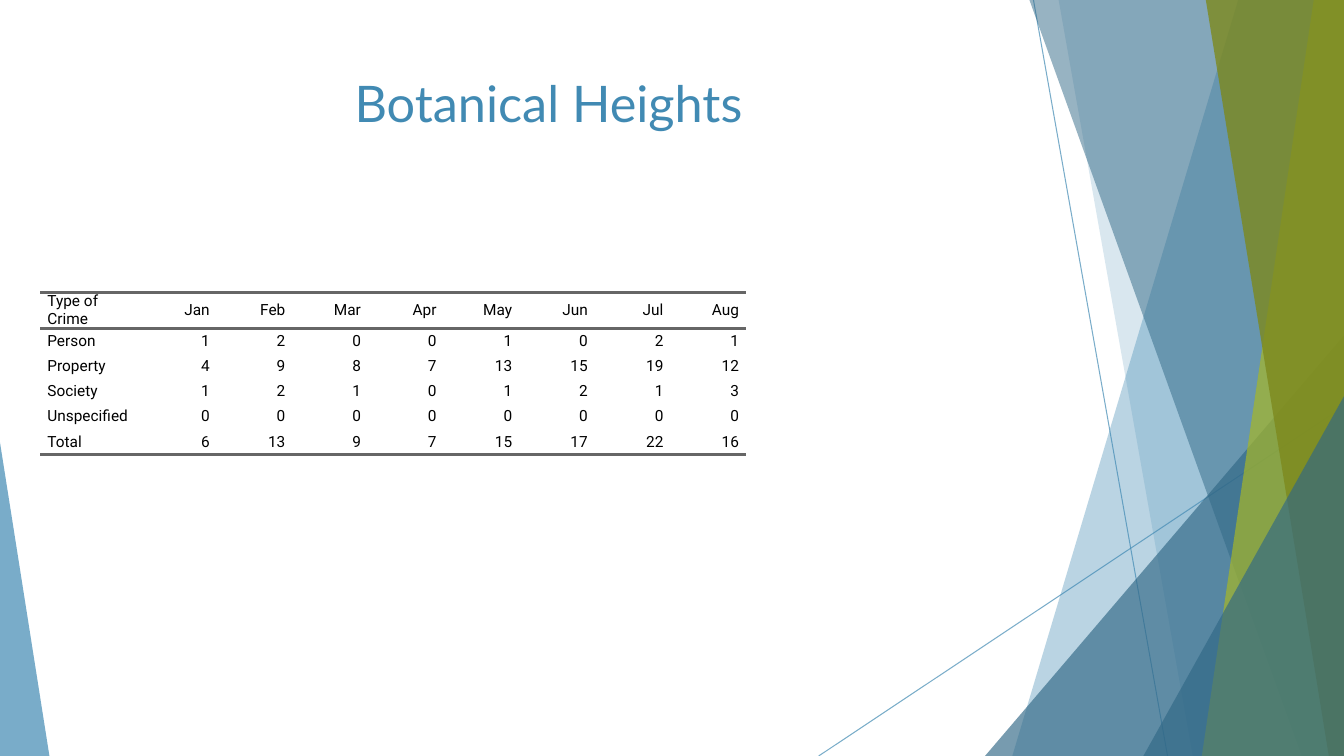
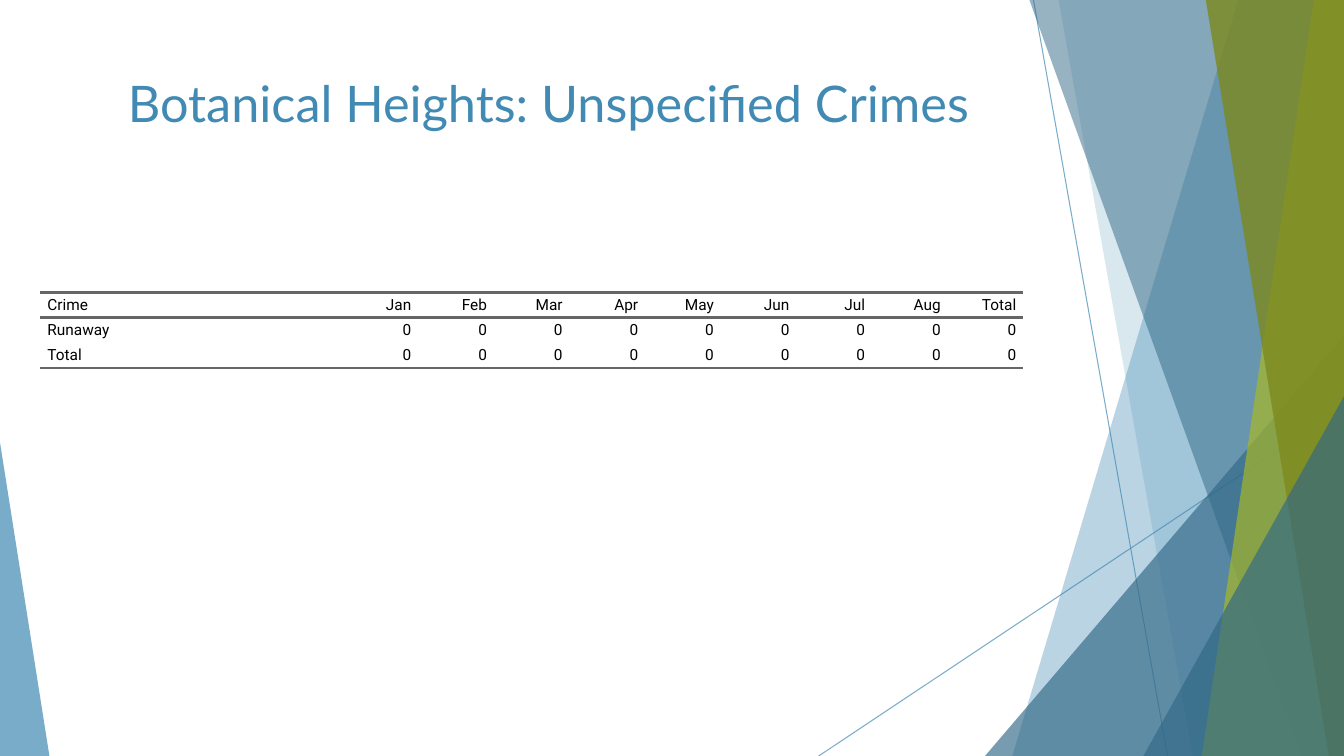
from dataclasses import dataclass

from lxml import etree
from pptx import Presentation
from pptx.dml.color import RGBColor
from pptx.enum import shapes, text
from pptx.oxml import ns
from pptx.util import Inches, Pt

WIDE, HIGH = 13.33, 7.5
BLUE, NAVY, LIME, OLIVE = "418AB3", "316886", "A6B727", "7D891D"
BLACK, GREY = "000000", "666666"
MONTHS = ["Jan", "Feb", "Mar", "Apr", "May", "Jun", "Jul", "Aug"]
NO_STYLE = "{2D5ABB26-0587-4C30-8999-92F81FD0307C}"


@dataclass
class Ray:
    start: tuple[float, float]
    end: tuple[float, float]


@dataclass
class Band:
    """A strip from its slanted left edge to the right of the slide."""
    top: float
    foot: float
    tint: str
    alpha: int


@dataclass
class Wedge:
    """A right triangle standing on the foot of the slide."""
    left: float
    top: float
    width: float
    apex: float
    tint: str
    alpha: int


@dataclass
class Page:
    title: str
    first: float
    rows: list[list]


RAYS = [Ray((10.25, 0), (11.58, HIGH)), Ray((WIDE, 4.03), (8.12, HIGH))]
DECOR = [
    Band(12.28, 10.04, BLUE, 36),
    Band(10.5, 11.83, BLUE, 20),
    Wedge(9.77, 3.33, 3.56, 1, NAVY, 66),
    Band(10.21, 12.91, NAVY, 50),
    Band(13.03, 11.92, LIME, 70),
    Band(11.96, 13.18, OLIVE, 80),
    Wedge(11.34, 3.93, 1.99, 1, NAVY, 66),
    Wedge(0, 4.39, 0.49, 0, BLUE, 70),
]
PAGES = [
    Page("Botanical Heights", 1, [
        ["Type of Crime", *MONTHS],
        ["Person", 1, 2, 0, 0, 1, 0, 2, 1],
        ["Property", 4, 9, 8, 7, 13, 15, 19, 12],
        ["Society", 1, 2, 1, 0, 1, 2, 1, 3],
        ["Unspecified", *[0] * 8],
        ["Total", 6, 13, 9, 7, 15, 17, 22, 16],
    ]),
    Page("Botanical Heights: Unspecified Crimes", 3, [
        ["Crime", *MONTHS, "Total"],
        ["Runaway", *[0] * 9],
        ["Total", *[0] * 9],
    ]),
]


def tone(code: str) -> RGBColor:
    return RGBColor.from_string(code)


def fade(shape, alpha: int) -> None:
    """Set the opacity, in percent, of the shape's own colour."""
    for node in shape.element.xpath(".//a:srgbClr"):
        etree.SubElement(node, ns.qn("a:alpha")).set("val", str(alpha * 1000))


def paint(shape, tint: str, alpha: int) -> None:
    shape.shadow.inherit = False
    shape.fill.solid()
    shape.fill.fore_color.rgb = tone(tint)
    shape.line.fill.background()
    fade(shape, alpha)


def add_ray(slide, ray: Ray):
    line = slide.shapes.add_connector(
        shapes.MSO_CONNECTOR.STRAIGHT,
        *(Inches(v) for v in (*ray.start, *ray.end)))
    line.line.color.rgb = tone(BLUE)
    line.line.width = Pt(0.75)
    fade(line, 70)
    etree.SubElement(line.element.spPr, ns.qn("a:effectLst"))
    return line


def add_decor(slide, item: Band | Wedge):
    if isinstance(item, Band):
        pen = slide.shapes.build_freeform(Inches(item.top), 0)
        corners = [(WIDE, 0), (WIDE, HIGH), (item.foot, HIGH)]
        pen.add_line_segments([(Inches(x), Inches(y)) for x, y in corners])
        shape = pen.convert_to_shape()
    else:
        shape = slide.shapes.add_shape(
            shapes.MSO_SHAPE.ISOSCELES_TRIANGLE, Inches(item.left),
            Inches(item.top), Inches(item.width), Inches(HIGH - item.top))
        shape.adjustments[0] = item.apex
    paint(shape, item.tint, item.alpha)
    return shape


def dress(layout, slide) -> None:
    """Draw the shared backdrop on a slide and move it to the layout."""
    parts = [add_ray(slide, ray) for ray in RAYS]
    parts += [add_decor(slide, item) for item in DECOR]
    for part in parts:
        layout.shapes.element.append(part.element)


def style(para, face: str, size: float, tint: str, align) -> None:
    para.font.name = face
    para.font.size = Pt(size)
    para.font.color.rgb = tone(tint)
    para.alignment = align


def add_title(slide, words: str) -> None:
    box = slide.shapes.add_textbox(
        Inches(0.74), Inches(0.67), Inches(9.4), Inches(1.44))
    frame = box.text_frame
    frame.word_wrap = True
    frame.text = words
    style(frame.paragraphs[0], "Lato", 36, BLUE, text.PP_ALIGN.CENTER)


def rule(cell, sides: str) -> None:
    """Give the cell grey borders on the sides named, T before B."""
    props = cell._tc.get_or_add_tcPr()
    for place, side in enumerate(sides):
        line = etree.Element(ns.qn(f"a:ln{side}"), w=str(Pt(2)))
        fill = etree.SubElement(line, ns.qn("a:solidFill"))
        etree.SubElement(fill, ns.qn("a:srgbClr")).set("val", GREY)
        props.insert(place, line)


def fill_cell(cell, value, align, sides: str) -> None:
    cell.text = str(value)
    cell.vertical_anchor = text.MSO_ANCHOR.MIDDLE
    cell.margin_top = cell.margin_bottom = 0
    cell.margin_left = cell.margin_right = Inches(0.07)
    para = cell.text_frame.paragraphs[0]
    para.space_before = para.space_after = Pt(5)
    style(para, "Roboto", 11, BLACK, align)
    cell.fill.background()
    rule(cell, sides)


def add_grid(slide, page: Page) -> None:
    count, cols = len(page.rows), len(page.rows[0])
    widths = [page.first] + [0.75] * (cols - 1)
    frame = slide.shapes.add_table(
        count, cols, Inches(0.4), Inches(2.9),
        Inches(sum(widths)), Inches(0.25 * count))
    table = frame.table
    table.first_row = table.horz_banding = False
    frame.element.xpath(".//a:tableStyleId")[0].text = NO_STYLE
    for col, width in zip(table.columns, widths):
        col.width = Inches(width)
    borders = {0: "TB", count - 1: "B"}
    for r, row in enumerate(page.rows):
        table.rows[r].height = Inches(0.25)
        for c, value in enumerate(row):
            align = text.PP_ALIGN.RIGHT if c else text.PP_ALIGN.LEFT
            fill_cell(table.cell(r, c), value, align, borders.get(r, ""))


def main() -> None:
    deck = Presentation()
    deck.slide_width, deck.slide_height = Inches(WIDE), Inches(HIGH)
    blank = deck.slide_layouts[6]
    for page in PAGES:
        slide = deck.slides.add_slide(blank)
        if page is PAGES[0]:
            dress(blank, slide)
        add_grid(slide, page)
        add_title(slide, page.title)
    deck.save("out.pptx")


if __name__ == "__main__":
    main()
